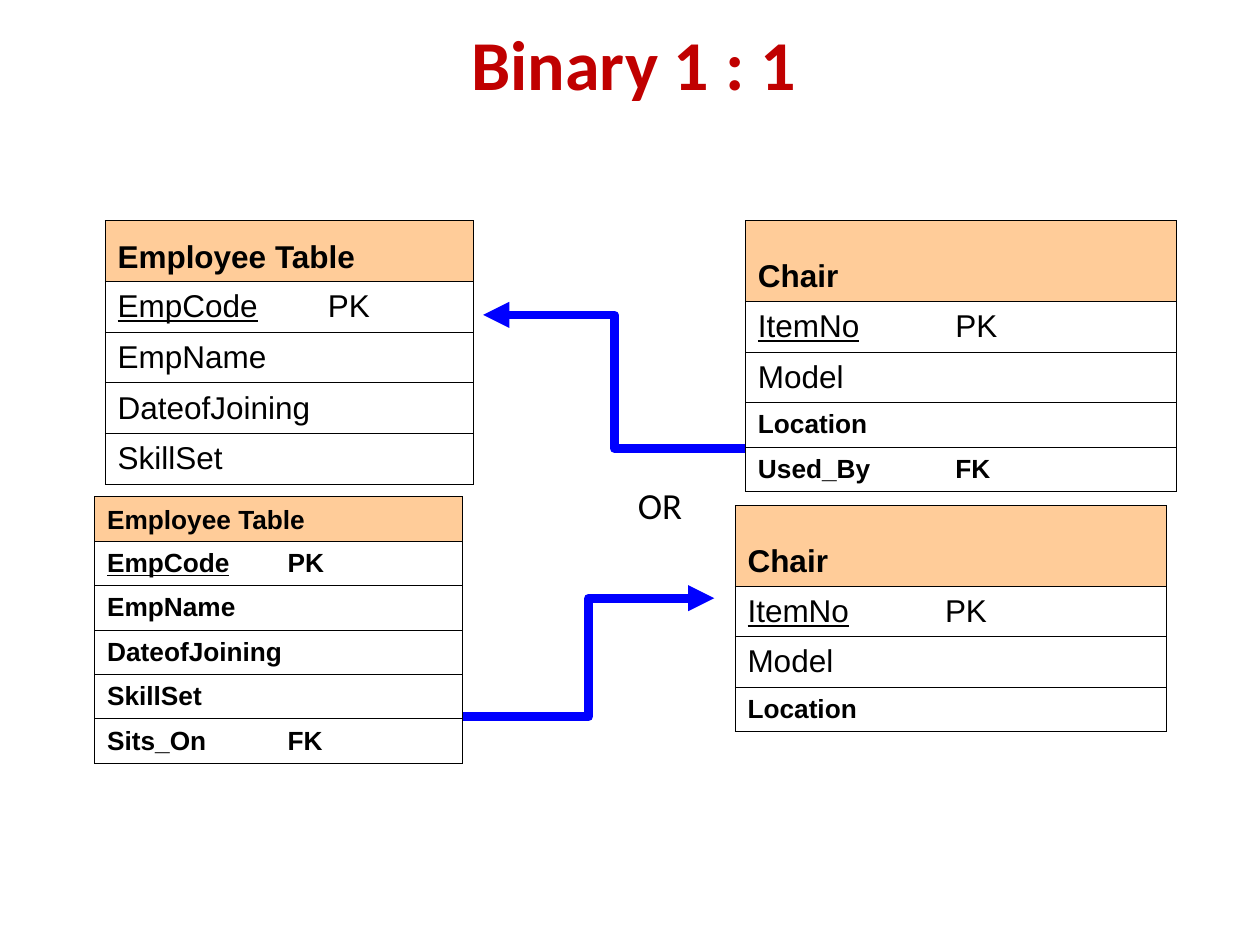
import pptx
import pptx.util
import pptx.dml.color
import pptx.enum.shapes
import pptx.enum.text
import pptx.oxml
import pptx.oxml.ns
from pptx.util import Cm, Pt

COLORS = {"title": "C00000", "text": "000000", "header": "FFCC99", "link": "0000FF"}

LARGE = (18, False)
LARGE_BOLD = (18, True)
SMALL_BOLD = (15, True)

CHAIR = [
    ("Chair", "", LARGE_BOLD, 1.62),
    ("ItemNo", "PK", LARGE, 1.0),
    ("Model", "", LARGE, 0.97),
    ("Location", "", SMALL_BOLD, 0.84),
]
EMPLOYEE = [
    ("Employee Table", "", LARGE_BOLD, 1.22),
    ("EmpCode", "PK", LARGE, 0.97),
    ("EmpName", "", LARGE, 0.97),
    ("DateofJoining", "", LARGE, 0.97),
    ("SkillSet", "", LARGE, 0.97),
]
EMPLOYEE_SMALL = [(name, key, SMALL_BOLD, 0.84) for name, key, _, _ in EMPLOYEE]

TABLES = [
    (2.12, 4.45, 7.42, 4.24, EMPLOYEE),
    (15.03, 4.45, 8.69, 3.98, CHAIR + [("Used_By", "FK", SMALL_BOLD, 0.84)]),
    (14.82, 10.19, 8.69, 3.98, CHAIR),
    (1.91, 10.01, 7.42, 3.64, EMPLOYEE_SMALL + [("Sits_On", "FK", SMALL_BOLD, 0.84)]),
]
LINKS = [((15.03, 9.04), (9.74, 6.35)), ((9.33, 14.45), (14.4, 12.06))]
ALIGN = pptx.enum.text.PP_ALIGN
ANCHOR = pptx.enum.text.MSO_ANCHOR


def rgb(name):
    return pptx.dml.color.RGBColor.from_string(COLORS[name])


def add_xml(parent, tag, **attrs):
    el = parent.makeelement(pptx.oxml.ns.qn(tag), attrs)
    parent.append(el)
    return el


def set_font(p, face, size, bold, color="text"):
    p.font.name, p.font.size, p.font.bold = face, Pt(size), bold
    p.font.color.rgb = rgb(color)


def add_text(slide, box, text, align, anchor, size, bold, color):
    sp = slide.shapes.add_textbox(*map(Cm, box))
    tf = sp.text_frame
    tf.word_wrap, tf.vertical_anchor = True, anchor
    p = tf.paragraphs[0]
    p.text, p.alignment = text, align
    set_font(p, "Calibri", size, bold, color)
    return p


def add_border(cell):
    tcPr = cell._tc.get_or_add_tcPr()
    for side in ("L", "R", "T", "B"):
        ln = add_xml(tcPr, f"a:ln{side}", w=str(Pt(0.45)))
        add_xml(add_xml(ln, "a:solidFill"), "a:srgbClr", val=COLORS["text"])


def fill_cell(cell, name, key, style, tab, is_header):
    add_border(cell)
    cell.margin_left = cell.margin_right = Cm(0.25)
    cell.margin_top = cell.margin_bottom = Cm(0.13)
    cell.vertical_anchor = ANCHOR.BOTTOM if is_header else ANCHOR.MIDDLE
    if is_header:
        cell.fill.solid()
        cell.fill.fore_color.rgb = rgb("header")
    else:
        cell.fill.background()
    p = cell.text_frame.paragraphs[0]
    if key:
        tabs = add_xml(p._p.get_or_add_pPr(), "a:tabLst")
        add_xml(tabs, "a:tab", pos=str(Cm(tab)), algn="l")
    set_font(p, "Arial", *style)
    r = p.add_run()
    r.text = name
    if key:
        r.font.underline = key == "PK"
        p.add_run().text = "\t" + key


def add_entity(slide, left, top, width, tab, rows):
    height = sum(row[-1] for row in rows)
    table = slide.shapes.add_table(
        len(rows), 1, Cm(left), Cm(top), Cm(width), Cm(height)).table
    table.first_row = table.horz_banding = False
    for i, (name, key, style, row_height) in enumerate(rows):
        table.rows[i].height = Cm(row_height)
        fill_cell(table.cell(i, 0), name, key, style, tab, i == 0)


def add_link(slide, start, end):
    cx = slide.shapes.add_connector(
        pptx.enum.shapes.MSO_CONNECTOR.ELBOW, *map(Cm, start + end))
    cx.line.width = Pt(5)
    cx.line.color.rgb = rgb("link")
    add_xml(cx.line._get_or_add_ln(), "a:tailEnd", type="triangle")
    add_xml(cx._element.spPr, "a:effectLst")


def main():
    prs = pptx.Presentation()
    prs.slide_width, prs.slide_height = Cm(25.4), Cm(19.05)
    slide = prs.slides.add_slide(prs.slide_layouts[6])
    title = add_text(slide, (0.86, 0.66, 23.83, 1.42), "Binary 1 : 1",
                     ALIGN.CENTER, ANCHOR.MIDDLE, 40, True, "title")
    title.line_spacing = 0.9
    for entity in TABLES:
        add_entity(slide, *entity)
    for start, end in LINKS:
        add_link(slide, start, end)
    add_text(slide, (10.08, 9.6, 3.92, 1.14), "OR",
             ALIGN.RIGHT, ANCHOR.TOP, 21, False, "text")
    prs.save("out.pptx")


if __name__ == "__main__":
    main()
